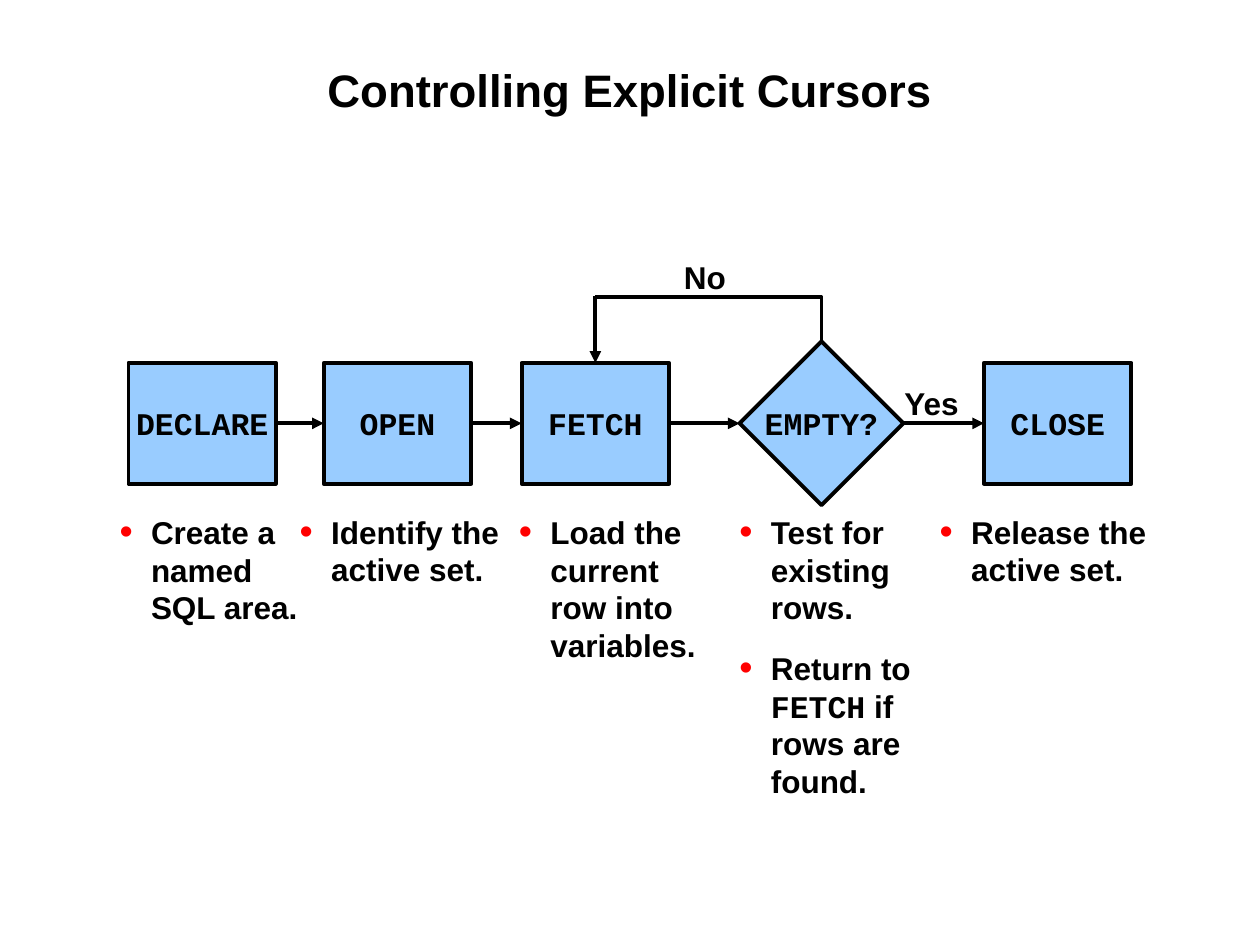
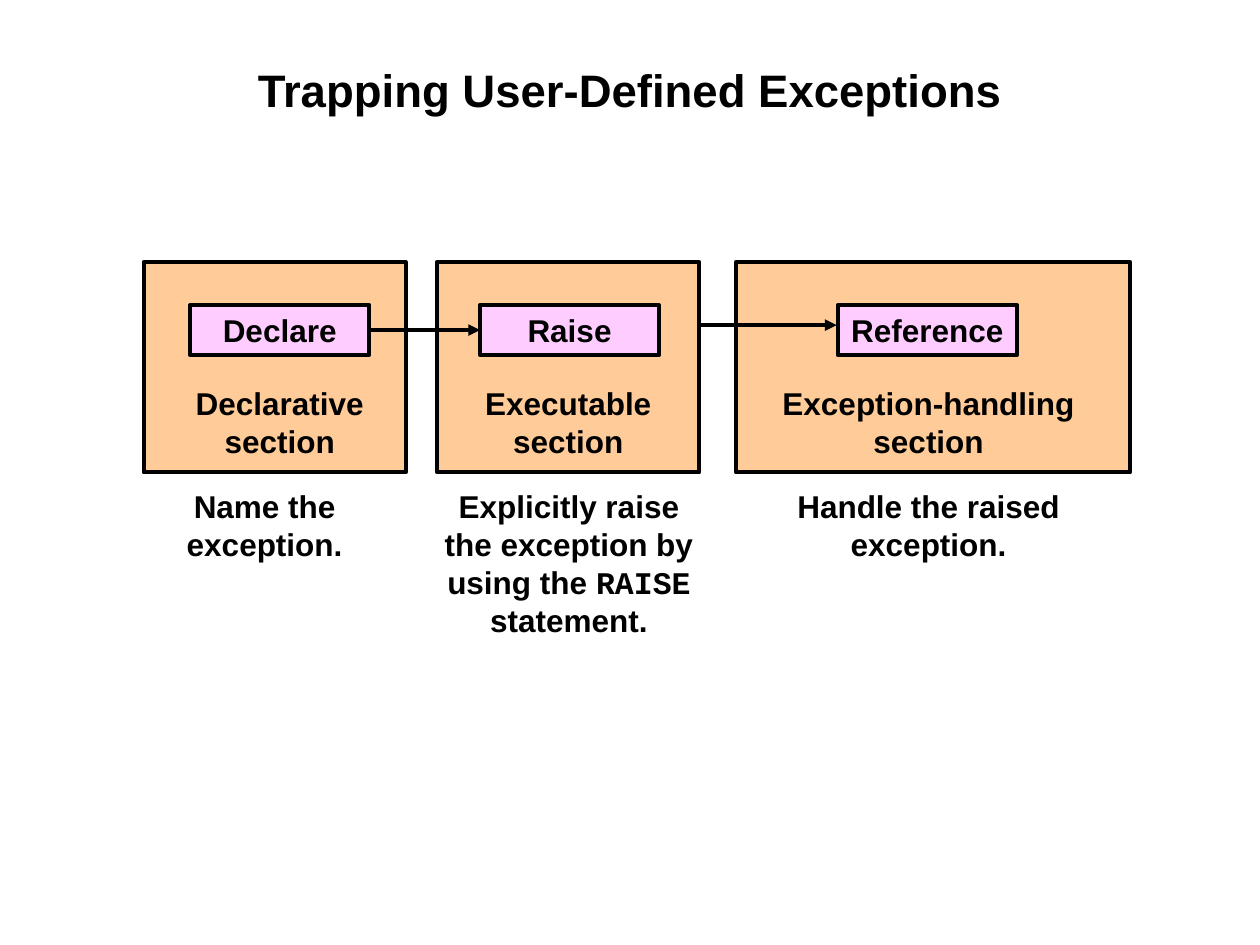
from lxml import etree
from pptx import Presentation
from pptx import util as u
from pptx.dml.color import RGBColor
from pptx.enum import shapes, text
from pptx.oxml.ns import qn

BLACK = RGBColor(0x00, 0x00, 0x00)
RED = RGBColor(0xFF, 0x00, 0x00)
BLUE = RGBColor(0x99, 0xCC, 0xFF)
PEACH = RGBColor(0xFF, 0xCC, 0x99)
PINK = RGBColor(0xFF, 0xCC, 0xFF)
BODY_FONT, CODE_FONT = "Arial", "Courier New"
LINE_WIDTH = u.Pt(2.25)
CENTER, LEFT = text.PP_ALIGN.CENTER, text.PP_ALIGN.LEFT
RECT = shapes.MSO_SHAPE.RECTANGLE
DIAMOND = shapes.MSO_SHAPE.DIAMOND

prs = Presentation()
prs.slide_width, prs.slide_height = u.Inches(10), u.Inches(7.5)
# Grid of 100 columns by 75 rows
COL, ROW = prs.slide_width / 100, prs.slide_height / 75


def write(s, words, x, y, w, h, geom=None, fill=None, size=18, font=BODY_FONT,
          align=CENTER, bullet=False, wrap=True, inset=True):
    """Add a text box, or a filled shape, with its text; backticks mark code."""
    place = (int(x * COL), int(y * ROW), int(w * COL), int(h * ROW))
    if geom is None:
        sp = s.shapes.add_textbox(*place)
    else:
        sp = s.shapes.add_shape(geom, *place)
        sp.shadow.inherit = False
        sp.fill.solid()
        sp.fill.fore_color.rgb = fill
        sp.line.color.rgb = BLACK
        sp.line.width = LINE_WIDTH
    tf = sp.text_frame
    tf.word_wrap = wrap
    tf.vertical_anchor = text.MSO_ANCHOR.MIDDLE if geom else text.MSO_ANCHOR.TOP
    if not inset:
        tf.margin_left = tf.margin_right = tf.margin_top = tf.margin_bottom = u.Inches(0.01)
    for i, line in enumerate(words.split("\n")):
        p = tf.add_paragraph() if i else tf.paragraphs[0]
        p.alignment = align
        p.line_spacing = u.Pt(size * 1.2)
        if bullet:
            pPr = p._p.get_or_add_pPr()
            pPr.set("marL", str(u.Inches(0.25)))
            pPr.set("indent", str(-u.Inches(0.25)))
            clr = etree.SubElement(pPr, qn("a:buClr"))
            etree.SubElement(clr, qn("a:srgbClr"), val=str(RED))
            etree.SubElement(pPr, qn("a:buSzPct"), val="120000")
            etree.SubElement(pPr, qn("a:buFont"), typeface=BODY_FONT)
            etree.SubElement(pPr, qn("a:buChar"), char="•")
        for j, part in enumerate(line.split("`")):
            r = p.add_run()
            r.text = part
            r.font.name = CODE_FONT if j % 2 else font
            r.font.size, r.font.bold = u.Pt(size), True
            r.font.color.rgb = BLACK
    return sp


def arrow(s, x1, y1, x2, y2, begin=None, end=None):
    """Draw an arrow; begin and end are (shape, side) pairs to join."""
    c = s.shapes.add_connector(shapes.MSO_CONNECTOR.STRAIGHT, int(x1 * COL),
                               int(y1 * ROW), int(x2 * COL), int(y2 * ROW))
    if begin:
        c.begin_connect(*begin)
    if end:
        c.end_connect(*end)
    c.line.color.rgb = BLACK
    c.line.width = LINE_WIDTH
    etree.SubElement(c.line._get_or_add_ln(), qn("a:tailEnd"), type="triangle")
    etree.SubElement(c._element.spPr, qn("a:effectLst"))


# Slides and their titles
slides = []
for title in ("Controlling Explicit Cursors", "Trapping User-Defined Exceptions"):
    s = prs.slides.add_slide(prs.slide_layouts[6])
    write(s, title, 6.7, 4.8, 86.6, 9.6, size=26, inset=False)
    slides.append(s)
cursors, exceptions = slides

# Cursors: bulleted notes under the steps
for note, x, y, w, h in (
    ("Create a named SQL area.", 8.5, 40.2, 16.9, 10.1),
    ("Identify the active set.", 22.8, 40.2, 19, 8),
    ("Load the current row into variables.", 40.2, 40.2, 16.5, 14.2),
    ("Test for existing rows.", 57.7, 40.2, 18.3, 12.2),
    ("Return to `FETCH` if rows are found.", 57.7, 51, 19, 15.6),
    ("Release the active set.", 73.6, 40.2, 19, 8),
):
    write(cursors, note, x, y, w, h, align=LEFT, bullet=True)

# Cursors: steps centred on one row, joined by arrows
MIDDLE = 33.6
steps = []
for name, x, w, h, geom in (
    ("DECLARE", 10.2, 11.7, 9.6, RECT),
    ("OPEN", 25.7, 11.7, 9.6, RECT),
    ("FETCH", 41.4, 11.7, 9.6, RECT),
    ("EMPTY?", 58.7, 13, 13, DIAMOND),
    ("CLOSE", 78.1, 11.7, 9.6, RECT),
):
    steps.append(write(cursors, name, x, MIDDLE - h / 2, w, h, geom=geom,
                       fill=BLUE, font=CODE_FONT, wrap=False))
for a, b in zip(steps, steps[1:]):
    arrow(cursors, 0, 0, 0, 0, begin=(a, 3), end=(b, 1))

# Cursors: loop back to FETCH
fb = cursors.shapes.build_freeform(int(65.2 * COL), int(27.1 * ROW))
fb.add_line_segments([(int(65.2 * COL), int(23.6 * ROW)),
                      (int(47.25 * COL), int(23.6 * ROW))], close=False)
loop = fb.convert_to_shape()
loop.shadow.inherit = False
loop.fill.background()
loop.line.color.rgb = BLACK
loop.line.width = LINE_WIDTH
arrow(cursors, 47.25, 23.5, 47.25, 28.8, end=(steps[2], 0))
write(cursors, "No", 53.3, 20, 5.4, 4, align=LEFT, wrap=False)
write(cursors, "Yes", 70.8, 30, 6.5, 4, align=LEFT, wrap=False)

# Exceptions: block sections with labels and captions
for label, x, w, label_x, label_w, caption, cap_x, cap_w in (
    ("Declarative\nsection", 11.4, 20.8, 14.5, 15.4,
     "Name the exception.", 11.4, 19.2),
    ("Executable\nsection", 34.7, 20.8, 37.5, 15.2,
     "Explicitly raise the exception by using the `RAISE` statement.", 33.9, 22.5),
    ("Exception-handling\nsection", 58.4, 31.3, 61.1, 25.2,
     "Handle the raised exception.", 59.4, 28.6),
):
    write(exceptions, "", x, 20.8, w, 16.7, geom=RECT, fill=PEACH)
    write(exceptions, label, label_x, 30, label_w, 7, wrap=False)
    write(exceptions, caption, cap_x, 38.2, cap_w, 15)

# Exceptions: actions inside the sections
declare, raise_box, reference = [
    write(exceptions, name, x, 24.2, 14.2, 4, geom=RECT, fill=PINK, wrap=False)
    for name, x in (("Declare", 15.1), ("Raise", 38.1), ("Reference", 66.5))]
arrow(exceptions, 0, 0, 0, 0, begin=(declare, 3), end=(raise_box, 1))
arrow(exceptions, 55.6, 25.8, 66.4, 25.8)

prs.save("out.pptx")
